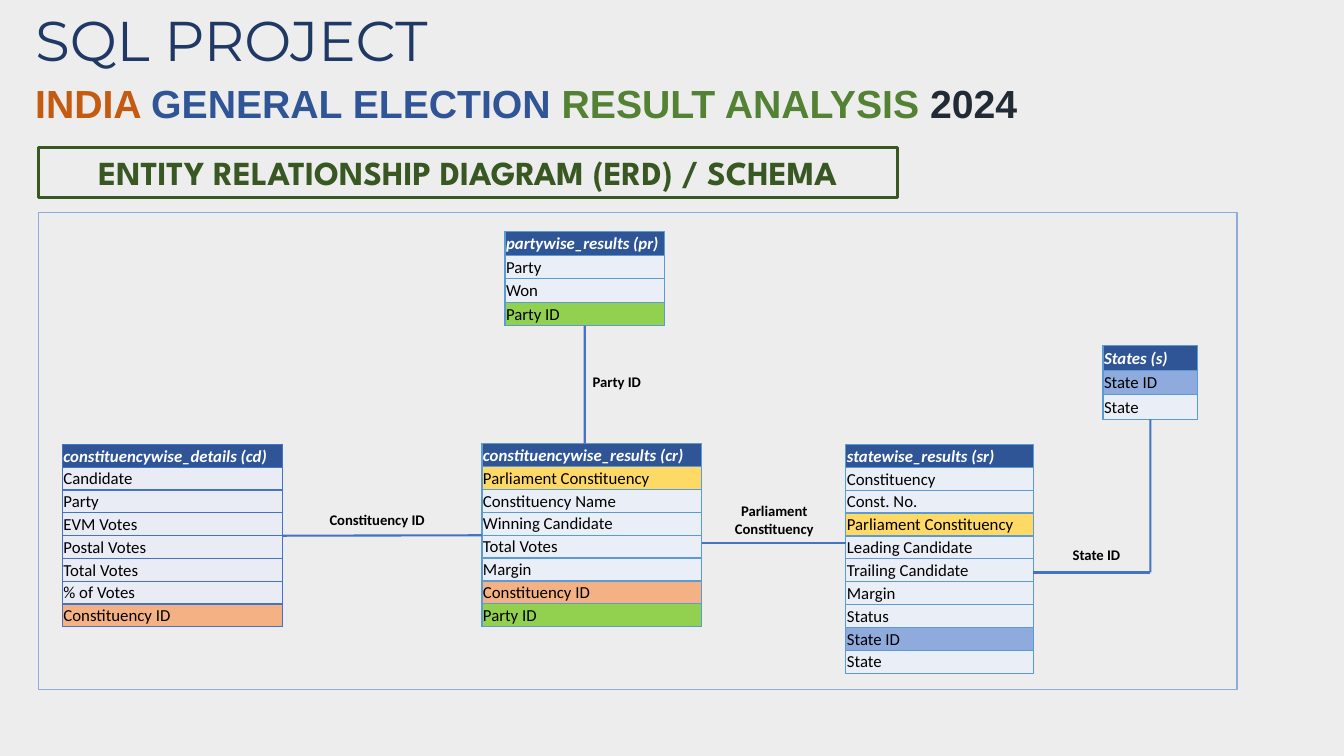
import pptx
import pptx.util
import pptx.dml.color
import pptx.enum.shapes
import pptx.enum.text
import pptx.oxml
import pptx.oxml.ns

COLORS = {
    "page": "EDEDED", "navy": "203864", "header": "2F5597", "line": "4472C4",
    "border": "5B9BD5", "pale": "EAEFF7", "lilac": "E9EBF5", "sky": "8FAADC",
    "orange": "F4B183", "yellow": "FFD966", "lime": "92D050", "forest": "385723",
    "rust": "C55A11", "green": "548235", "ink": "222A35",
    "white": "FFFFFF", "black": "000000",
}
RGB = {name: pptx.dml.color.RGBColor.from_string(code) for name, code in COLORS.items()}
ALIGN = pptx.enum.text.PP_ALIGN
ANCHOR = pptx.enum.text.MSO_ANCHOR
RECTANGLE = pptx.enum.shapes.MSO_SHAPE.RECTANGLE
STRAIGHT = pptx.enum.shapes.MSO_CONNECTOR.STRAIGHT

deck = pptx.Presentation()
deck.slide_width = pptx.util.Inches(13.33)
deck.slide_height = pptx.util.Inches(7.5)
page = deck.slides.add_slide(deck.slide_layouts[5])
page.background.fill.solid()
page.background.fill.fore_color.rgb = RGB["page"]


def place(*percents):
    sides = (deck.slide_width, deck.slide_height) * 2
    return [round(side * percent / 100) for side, percent in zip(sides, percents)]


def style(para, font, size, color, bold=False, italic=False, align=ALIGN.LEFT):
    para.alignment = align
    para.font.name = font
    para.font.size = pptx.util.Pt(size)
    para.font.bold = bold
    para.font.italic = italic
    if color:
        para.font.color.rgb = RGB[color]


title = page.shapes.title
title.left, title.top, title.width, title.height = place(1.88, 0, 37.58, 10.27)
title.text_frame.text = "SQL PROJECT"
title.text_frame.vertical_anchor = ANCHOR.TOP
title.text_frame.auto_size = pptx.enum.text.MSO_AUTO_SIZE.NONE
style(title.text_frame.paragraphs[0], "Montserrat", 40, "navy")

subtitle = page.shapes.add_textbox(*place(1.88, 9.87, 85.82, 7.6))
heading = subtitle.text_frame.paragraphs[0]
style(heading, "Arial", 28, None, bold=True)
for words, color in [("INDIA ", "rust"), ("GENERAL ELECTION ", "header"),
                     ("RESULT ANALYSIS ", "green"), ("2024", "ink")]:
    span = heading.add_run()
    span.text = words
    span.font.color.rgb = RGB[color]

banner = page.shapes.add_shape(RECTANGLE, *place(2.85, 19.47, 63.92, 6.67))
frame = page.shapes.add_shape(RECTANGLE, *place(2.85, 28.13, 89.2, 63.07))
for box, color, weight in [(banner, "forest", 2.25), (frame, "sky", 1)]:
    box.shadow.inherit = False
    box.fill.background()
    box.line.color.rgb = RGB[color]
    box.line.width = pptx.util.Pt(weight)
banner.text_frame.text = "ENTITY RELATIONSHIP DIAGRAM (ERD) / SCHEMA"
style(banner.text_frame.paragraphs[0], "League Spartan", 24, "forest", bold=True, align=ALIGN.CENTER)

key_fills = {"Party ID": "lime", "Constituency ID": "orange",
             "Parliament Constituency": "yellow", "State ID": "sky"}
entities = [
    ("constituencywise_details (cd)", (4.65, 58.8, 16.35, 24.13), "line", "lilac",
     ["Candidate", "Party", "EVM Votes", "Postal Votes", "Total Votes", "% of Votes",
      "Constituency ID"]),
    ("constituencywise_results (cr)", (35.86, 58.67, 16.35, 24.27), "border", "pale",
     ["Parliament Constituency", "Constituency Name", "Winning Candidate", "Total Votes",
      "Margin", "Constituency ID", "Party ID"]),
    ("partywise_results (pr)", (37.58, 30.67, 11.85, 12.4), "border", "pale",
     ["Party", "Won", "Party ID"]),
    ("States (s)", (82.07, 45.73, 7.05, 9.73), "border", "pale",
     ["State ID", "State"]),
    ("statewise_results (sr)", (62.94, 58.8, 13.95, 30.27), "border", "pale",
     ["Constituency", "Const. No.", "Parliament Constituency", "Leading Candidate",
      "Trailing Candidate", "Margin", "Status", "State ID", "State"]),
]
tables = {}
for name, area, border, plain, fields in entities:
    left, top, width, height = place(*area)
    rows = [name] + fields
    holder = page.shapes.add_table(len(rows), 1, left, top, width, height)
    holder.table.horz_banding = False
    tables[name] = holder
    for index, field in enumerate(rows):
        is_header = index == 0
        cell = holder.table.cell(index, 0)
        cell.text = field
        cell.vertical_anchor = ANCHOR.MIDDLE
        cell.margin_left = cell.margin_right = cell.margin_top = pptx.util.Inches(0.01)
        cell.margin_bottom = 0
        style(cell.text_frame.paragraphs[0], "Calibri", 12,
              "white" if is_header else "black", bold=is_header, italic=is_header)
        properties = cell._tc.get_or_add_tcPr()
        for side in ("lnL", "lnR", "lnT", "lnB"):
            properties.append(pptx.oxml.parse_xml(
                f'<a:{side} {pptx.oxml.ns.nsdecls("a")} w="12700"><a:solidFill>'
                f'<a:srgbClr val="{COLORS[border]}"/></a:solidFill></a:{side}>'))
        cell.fill.solid()
        cell.fill.fore_color.rgb = RGB["header" if is_header else key_fills.get(field, plain)]

details, results, parties, states, _ = tables.values()
relations = [
    ((43.51, 43.07), (43.51, 58.67), (parties, 2), None),
    ((21, 70.8), (35.86, 70.8), (details, 3), (results, 1)),
    ((52.21, 71.87), (62.94, 71.87), None, None),
    ((76.89, 75.73), (85.6, 75.73), None, None),
    ((85.6, 55.47), (85.6, 75.73), (states, 2), None),
]
for start, end, source, target in relations:
    relation = page.shapes.add_connector(STRAIGHT, *place(*start, *end))
    relation.line.color.rgb = RGB["line"]
    relation.line.width = pptx.util.Pt(1.5)
    relation._element.spPr.append(pptx.oxml.parse_xml(
        f'<a:effectLst {pptx.oxml.ns.nsdecls("a")}/>'))
    if source:
        relation.begin_connect(*source)
    if target:
        relation.end_connect(*target)

labels = [
    ("Constituency ID", (23.78, 66.93, 9.3, 3.87), ALIGN.LEFT),
    ("State ID", (79.07, 71.6, 5.33, 3.87), ALIGN.LEFT),
    ("Parliament Constituency", (52.96, 65.73, 9.3, 6), ALIGN.CENTER),
    ("Party ID", (43.36, 48.67, 5.33, 3.87), ALIGN.LEFT),
]
for words, area, align in labels:
    label = page.shapes.add_textbox(*place(*area))
    label.text_frame.word_wrap = True
    label.text_frame.text = words
    style(label.text_frame.paragraphs[0], "Calibri", 10.5, "black", bold=True, align=align)

deck.save("out.pptx")
